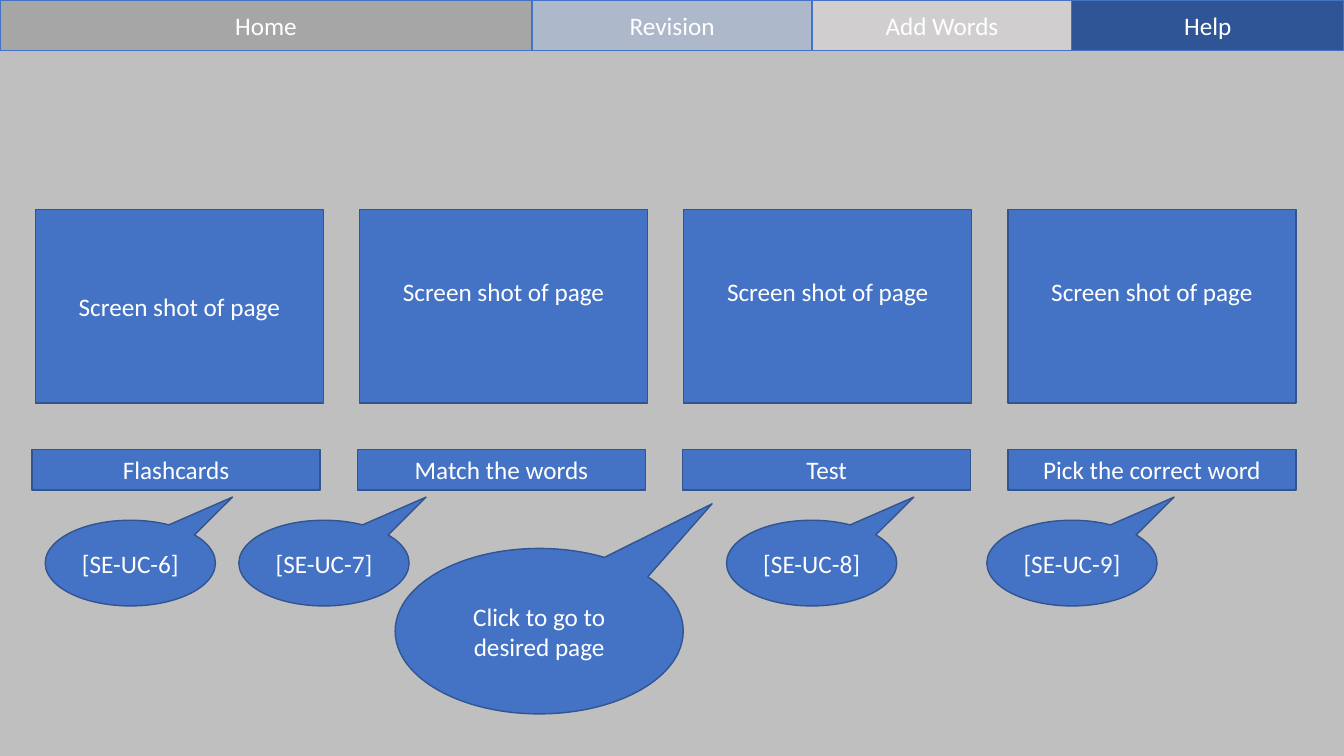
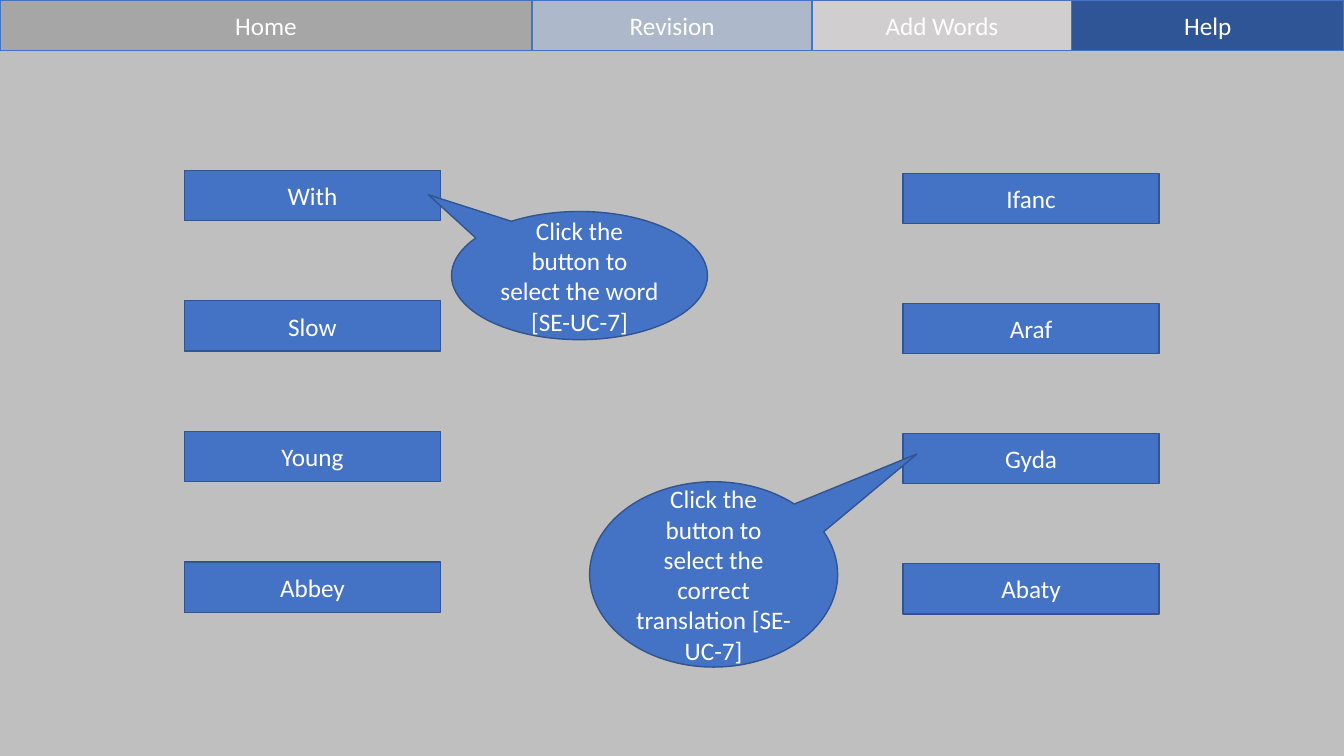
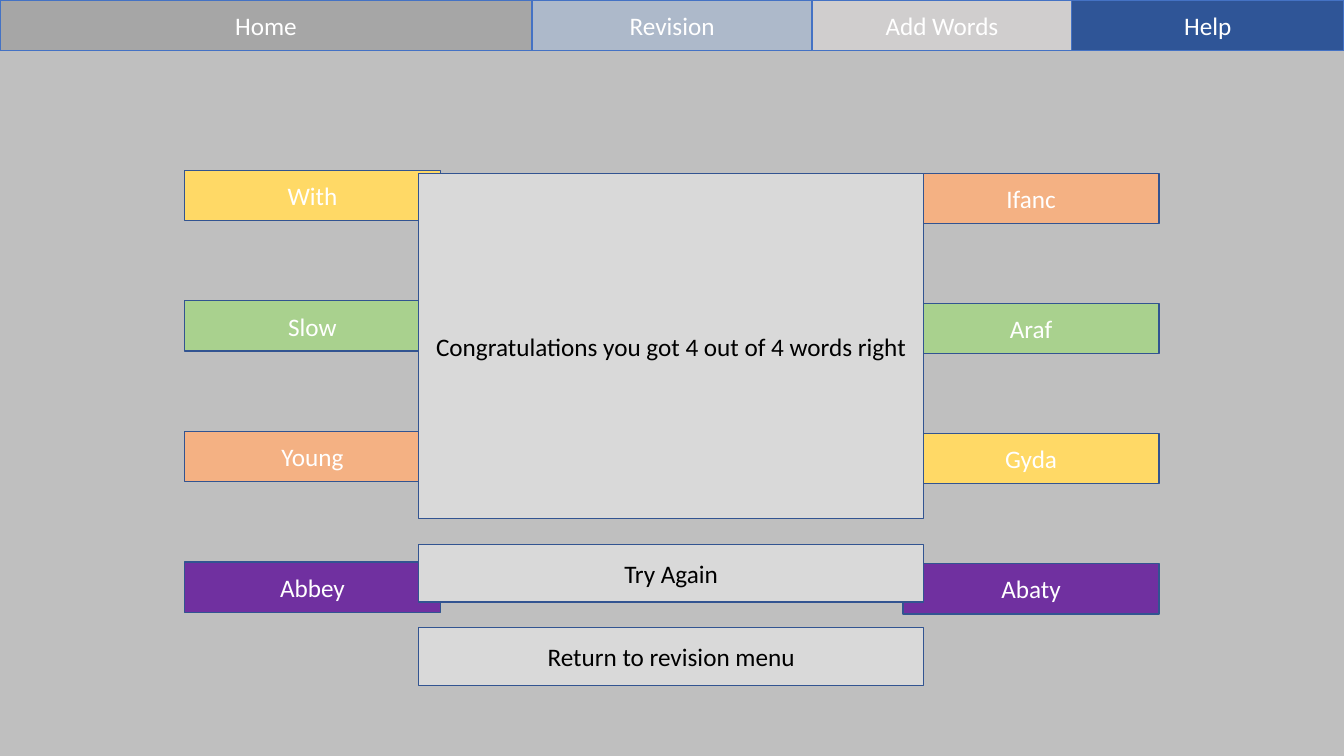
from pptx import Presentation
from pptx.dml.color import RGBColor
from pptx.enum.shapes import MSO_SHAPE
from pptx.enum.text import MSO_ANCHOR, PP_ALIGN
from pptx.util import Cm, Pt

COLORS = {
    "page": "BFBFBF", "blue": "4472C4", "edge": "325491", "white": "FFFFFF",
    "black": "000000", "panel": "D9D9D9", "home": "A6A6A6", "revision": "ADB9CA",
    "add": "D0CECE", "help": "2F5597", "yellow": "FFD966", "green": "A9D18E",
    "orange": "F4B183", "purple": "7030A0",
}
FONT, SIZE = "Calibri", 18
SLIDE_W, SLIDE_H = 33.87, 19.05
NAV_H = 1.27
NAV = [("Home", 13.41, "home"), ("Revision", 7.06, "revision"),
       ("Add Words", 6.54, "add"), ("Help", 6.86, "help")]
LEFT_COLUMN = (4.65, 4.29, 6.45, 11.14)
RIGHT_COLUMN = (22.76, 4.37, 6.45, 11.1)
BUTTON_H = 1.27
WELSH_PAIRS = (["With", "Slow", "Young", "Abbey"], ["Ifanc", "Araf", "Gyda", "Abaty"])


def rgb(name):
    return RGBColor.from_string(COLORS[name])


def add_box(slide, box, text, fill="blue", line="edge", color="white",
            shape=MSO_SHAPE.RECTANGLE):
    """Add a filled, outlined shape with centred text; box is in cm."""
    sp = slide.shapes.add_shape(shape, *map(Cm, box))
    sp.shadow.inherit = False
    sp.fill.solid()
    sp.fill.fore_color.rgb = rgb(fill)
    sp.line.color.rgb = rgb(line)
    sp.line.width = Pt(1)
    tf = sp.text_frame
    tf.text = text
    tf.word_wrap = True
    tf.vertical_anchor = MSO_ANCHOR.MIDDLE
    p = tf.paragraphs[0]
    p.alignment = PP_ALIGN.CENTER
    font = p.runs[0].font
    font.name, font.size = FONT, Pt(SIZE)
    font.color.rgb = rgb(color)
    return sp


def add_callout(slide, box, text, tip=(0.6, -0.77)):
    """Add an oval callout; tip is its offset from the centre, in box sizes."""
    sp = add_box(slide, box, text, shape=MSO_SHAPE.OVAL_CALLOUT)
    sp.adjustments[0], sp.adjustments[1] = tip


def add_nav(slide, box):
    x, y, w, h = box
    total = sum(width for _, width, _ in NAV)
    for text, width, fill in NAV:
        tab_w = w * width / total
        add_box(slide, (x, y, tab_w, h), text, fill, line="blue")
        x += tab_w


def add_row(slide, box, texts, item_w):
    """Spread equal boxes from the left to the right edge of box."""
    x, y, w, h = box
    step = (w - item_w) / (len(texts) - 1)
    return [add_box(slide, (x + i * step, y, item_w, h), text)
            for i, text in enumerate(texts)]


def add_column(slide, box, words, fills):
    """Spread word buttons from the top to the bottom edge of box."""
    x, y, w, h = box
    step = (h - BUTTON_H) / (len(words) - 1)
    for i, (word, fill) in enumerate(zip(words, fills)):
        add_box(slide, (x, y + i * step, w, BUTTON_H), word, fill)


def add_word_columns(slide, left_fills, right_fills):
    add_column(slide, LEFT_COLUMN, WELSH_PAIRS[0], left_fills)
    add_column(slide, RIGHT_COLUMN, WELSH_PAIRS[1], right_fills)


def add_result(slide, box):
    """Score panel with two buttons below it."""
    x, y, w, h = box
    button_h, gap = 1.45, 0.65
    score_h = h - 2 * (button_h + gap)
    parts = [("Congratulations you got 4 out of 4 words right", score_h),
             ("Try Again", button_h), ("Return to revision menu", button_h)]
    for text, part_h in parts:
        add_box(slide, (x, y, w, part_h), text, "panel", color="black")
        y += part_h + gap


def new_slide(prs):
    slide = prs.slides.add_slide(prs.slide_layouts[6])
    add_nav(slide, (0, 0, SLIDE_W, NAV_H))
    return slide


def revision_menu(prs):
    slide = new_slide(prs)
    # Page previews; the text of all but the first sits one line higher
    previews = add_row(slide, (0.89, 5.28, 31.77, 4.88),
                       ["Screen shot of page"] * 4, 7.26)
    for sp in previews[1:]:
        sp.text_frame.margin_bottom = Cm(0.89)
    # Page names
    add_row(slide, (0.81, 11.33, 31.85, 1.02),
            ["Flashcards", "Match the words", "Test", "Pick the correct word"], 7.26)
    # Callouts
    add_callout(slide, (9.96, 13.82, 7.26, 4.17), "Click to go to desired page")
    for number, x in enumerate((1.14, 6.02, 18.31, 24.87), start=6):
        add_callout(slide, (x, 13.11, 4.29, 2.16), f"[SE-UC-{number}]")


def match_words(prs):
    slide = new_slide(prs)
    add_word_columns(slide, ["blue"] * 4, ["blue"] * 4)
    # Callouts
    add_callout(slide, (11.38, 5.33, 6.45, 3.23),
                "Click the button to select the word [SE-UC-7]", (-0.59, -0.63))
    add_callout(slide, (14.86, 12.14, 6.25, 4.67),
                "Click the button to select the correct translation [SE-UC-7]",
                (0.82, -0.65))


def match_result(prs):
    slide = new_slide(prs)
    add_word_columns(slide, ["yellow", "green", "orange", "purple"],
                     ["orange", "green", "yellow", "purple"])
    add_result(slide, (10.55, 4.37, 12.73, 12.9))


def main():
    prs = Presentation()
    prs.slide_width, prs.slide_height = Cm(SLIDE_W), Cm(SLIDE_H)
    # Shared page colour
    fill = prs.slide_master.background.fill
    fill.solid()
    fill.fore_color.rgb = rgb("page")
    for build in (revision_menu, match_words, match_result):
        build(prs)
    prs.save("out.pptx")


if __name__ == "__main__":
    main()
